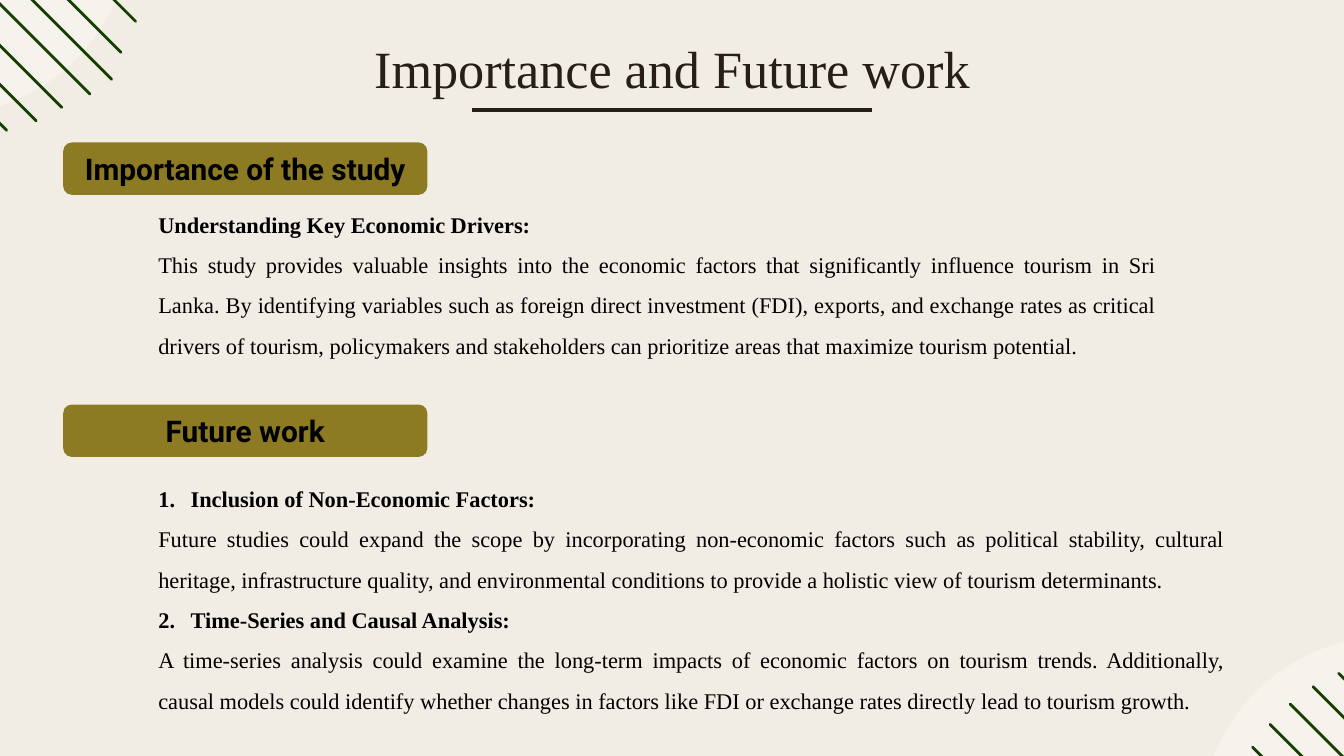
from lxml.etree import SubElement
from pptx import Presentation
from pptx.dml.color import RGBColor
from pptx.enum.shapes import MSO_CONNECTOR, MSO_SHAPE
from pptx.enum.text import MSO_ANCHOR, MSO_AUTO_SIZE, PP_ALIGN
from pptx.oxml.ns import qn
from pptx.util import Inches, Pt

COLORS = {
    "background": "F2EDE4",
    "disc": "FFFFFF",
    "stripe": "154001",
    "title": "261E17",
    "label": "8C7B23",
    "text": "000000",
}
SERIF = "Times New Roman"
SANS = "Roboto"

# Each stripe: x and y of its visible end within the corner box, and its run.
TOP_STRIPES = [
    (1.93, 2.95, 1.71), (2.15, 2.88, 1.86), (2.34, 2.78, 1.95), (2.55, 2.68, 2.02),
    (2.71, 2.57, 2.05), (2.78, 2.37, 1.96), (2.89, 2.14, 1.86),
]
BOTTOM_STRIPES = [
    (0.39, 0.83, 1.95), (0.52, 0.66, 2.02), (0.67, 0.51, 1.92),
    (0.84, 0.38, 1.96), (1.03, 0.28, 1.86),
]

# Each paragraph: list number or None, is it a heading, wording.
IMPORTANCE = [
    (None, True, "Understanding Key Economic Drivers:"),
    (None, False, "This study provides valuable insights into the economic factors that "
     "significantly influence tourism in Sri Lanka. By identifying variables such as foreign "
     "direct investment (FDI), exports, and exchange rates as critical drivers of tourism, "
     "policymakers and stakeholders can prioritize areas that maximize tourism potential."),
]
FUTURE_WORK = [
    (1, True, "Inclusion of Non-Economic Factors:"),
    (None, False, "Future studies could expand the scope by incorporating non-economic factors "
     "such as political stability, cultural heritage, infrastructure quality, and environmental "
     "conditions to provide a holistic view of tourism determinants."),
    (2, True, "Time-Series and Causal Analysis:"),
    (None, False, "A time-series analysis could examine the long-term impacts of economic factors "
     "on tourism trends. Additionally, causal models could identify whether changes in factors "
     "like FDI or exchange rates directly lead to tourism growth."),
]


def color(name):
    return RGBColor.from_string(COLORS[name])


def style(paragraph, font_name, size, color_name, bold, align):
    paragraph.alignment = align
    paragraph.font.name = font_name
    paragraph.font.size = Pt(size)
    paragraph.font.bold = bold
    paragraph.font.color.rgb = color(color_name)


def set_margins(frame):
    frame.word_wrap = True
    frame.margin_left = frame.margin_right = Inches(0.1)
    frame.margin_top = frame.margin_bottom = Inches(0.1)


def add_line(slide, x1, y1, x2, y2, color_name, width):
    line = slide.shapes.add_connector(
        MSO_CONNECTOR.STRAIGHT, Inches(x1), Inches(y1), Inches(x2), Inches(y2))
    line.line.color.rgb = color(color_name)
    line.line.width = Pt(width)
    SubElement(line._element.spPr, qn("a:effectLst"))
    return line


def add_shape(slide, preset, left, top, width, height, color_name):
    shape = slide.shapes.add_shape(
        preset, Inches(left), Inches(top), Inches(width), Inches(height))
    shape.shadow.inherit = False
    shape.fill.solid()
    shape.fill.fore_color.rgb = color(color_name)
    shape.line.fill.background()
    return shape


def add_corner(slide, left, top, stripes, direction):
    """Translucent disc with diagonal stripes running off the slide."""
    disc = add_shape(slide, MSO_SHAPE.OVAL, left, top, 2.86, 2.84, "disc")
    disc_color = disc._element.spPr.find(qn("a:solidFill"))[0]
    SubElement(disc_color, qn("a:alpha"), val="36000")
    for x, y, run in stripes:
        x, y, run = left + x, top + y, direction * run
        stripe = add_line(slide, x, y, x + run, y + run, "stripe", 1.5)
        stripe._element.spPr.find(qn("a:ln")).set("cap", "rnd")


def add_title(slide, left, top, width, height):
    title = slide.shapes.title
    title.left, title.top = Inches(left), Inches(top)
    title.width, title.height = Inches(width), Inches(height)
    frame = title.text_frame
    frame.text = "Importance and Future work"
    set_margins(frame)
    frame.auto_size = MSO_AUTO_SIZE.NONE
    frame.vertical_anchor = MSO_ANCHOR.TOP
    style(frame.paragraphs[0], SERIF, 28, "title", False, PP_ALIGN.CENTER)
    middle, rule_y, rule_width = left + width / 2, top + 0.65, 2.98
    add_line(slide, middle - rule_width / 2, rule_y,
             middle + rule_width / 2, rule_y, "title", 2.25)


def add_label(slide, left, top, wording):
    label = add_shape(slide, MSO_SHAPE.ROUNDED_RECTANGLE, left, top, 2.71, 0.39, "label")
    frame = label.text_frame
    frame.text = wording
    set_margins(frame)
    frame.vertical_anchor = MSO_ANCHOR.MIDDLE
    style(frame.paragraphs[0], SANS, 16, "text", True, PP_ALIGN.CENTER)


def number(paragraph, start):
    """Turn the paragraph into a numbered item with a hanging indent."""
    properties = paragraph._p.get_or_add_pPr()
    indent = Inches(0.24)
    properties.set("marL", str(indent))
    properties.set("indent", str(-indent))
    bullet_color = SubElement(properties, qn("a:buClr"))
    SubElement(bullet_color, qn("a:srgbClr"), val=COLORS["text"])
    SubElement(properties, qn("a:buAutoNum"), type="arabicPeriod", startAt=str(start))
    # The schema wants the default run properties after the bullet.
    properties.append(properties.find(qn("a:defRPr")))


def add_body(slide, left, top, width, height, content):
    body = slide.shapes.add_textbox(Inches(left), Inches(top), Inches(width), Inches(height))
    frame = body.text_frame
    set_margins(frame)
    for index, (start, heading, wording) in enumerate(content):
        paragraph = frame.add_paragraph() if index else frame.paragraphs[0]
        paragraph.text = wording
        paragraph.line_spacing = 1.5
        style(paragraph, SERIF, 12, "text", heading, PP_ALIGN.JUSTIFY)
        if start:
            number(paragraph, start)


def main():
    deck = Presentation()
    deck.slide_width = Inches(10)
    deck.slide_height = deck.slide_width * 9 // 16
    slide = deck.slides.add_slide(deck.slide_layouts.get_by_name("Title Only"))
    slide.background.fill.solid()
    slide.background.fill.fore_color.rgb = color("background")

    add_corner(slide, 8.93, 4.73, BOTTOM_STRIPES, 1)
    add_corner(slide, -1.88, -1.98, TOP_STRIPES, -1)
    add_title(slide, 0.78, 0.17, 8.44, 0.77)
    add_label(slide, 0.47, 1.06, "Importance of the study")
    add_body(slide, 1.08, 1.37, 7.63, 2.04, IMPORTANCE)
    add_label(slide, 0.47, 3.01, "Future work")
    add_body(slide, 1.08, 3.41, 8.14, 1.55, FUTURE_WORK)
    deck.save("out.pptx")


if __name__ == "__main__":
    main()
